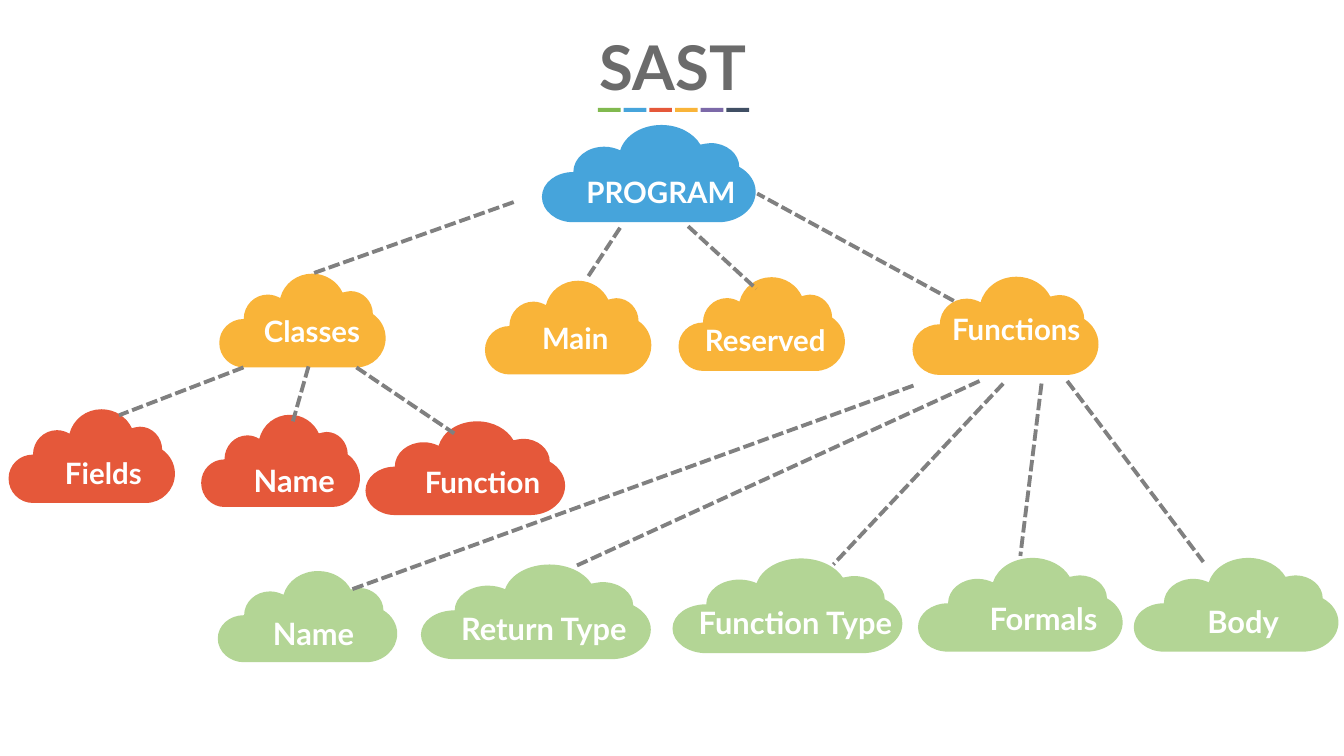
from lxml.etree import SubElement
from pptx import Presentation
from pptx.dml.color import RGBColor
from pptx.enum.dml import MSO_LINE
from pptx.enum.shapes import MSO_CONNECTOR, MSO_SHAPE
from pptx.enum.text import MSO_AUTO_SIZE, PP_ALIGN
from pptx.oxml.ns import qn
from pptx.util import Inches, Pt

COLORS = {
    "green": "81B94F", "blue": "46A4DB", "red": "E5583A", "amber": "F9B439",
    "purple": "7C69A8", "navy": "404F64", "leaf": "B3D595",
    "title": "6B6B6B", "label": "FFFFFF", "link": "808080",
}
FONT = "Lato"
TITLE_BARS = ["green", "blue", "red", "amber", "purple", "navy"]

CLOUD_SIZE = (4.56, 1.88)
CLOUD_START = (2.55, 0)
CLOUD_CURVES = [
    ((2.13, 0), (1.77, 0.2), (1.67, 0.49)),
    ((1.57, 0.45), (1.46, 0.42), (1.33, 0.42)),
    ((0.96, 0.42), (0.67, 0.64), (0.67, 0.91)),
    ((0.3, 0.91), (0, 1.12), (0, 1.39)),
    ((0, 1.66), (0.3, 1.88), (0.67, 1.88)),
    ((3.76, 1.88), (3.76, 1.88), (3.76, 1.88)),
    ((4.2, 1.88), (4.56, 1.62), (4.56, 1.29)),
    ((4.56, 1.1), (4.43, 0.92), (4.21, 0.81)),
    ((4.21, 0.56), (3.94, 0.35), (3.6, 0.35)),
    ((3.53, 0.35), (3.45, 0.37), (3.38, 0.38)),
    ((3.24, 0.16), (2.92, 0), (2.55, 0)),
]

LEVELS = {
    "blue": [("PROGRAM", 42, (10.75, 2.48, 4.24, 1.93), (-0.71, 0.7), 6.14)],
    "amber": [
        ("Classes", 42, (4.35, 5.43, 3.3, 1.86), (-1.23, 0.52), 6.14),
        ("Main", 42, (9.62, 5.57, 3.3, 1.86), (-1.28, 0.52), 6.14),
        ("Reserved", 42, (13.46, 5.5, 3.3, 1.86), (-1.35, 0.62), 6.14),
        ("Functions", 42, (18.1, 5.49, 3.69, 1.95), (-1.37, 0.42), 6.86),
    ],
    "red": [
        ("Fields", 42, (0.17, 8.12, 3.3, 1.86), (-1.19, 0.64), 6.14),
        ("Name", 44, (3.99, 8.23, 3.15, 1.83), (-0.03, 0.65), 3.76),
        ("Function", 42, (7.25, 8.36, 3.96, 1.86), (-1.36, 0.58), 7.36),
    ],
    "leaf": [
        ("Name", 44, (4.32, 11.33, 3.56, 1.81), (-0.23, 0.6), 4.26),
        ("Return Type", 44, (8.35, 11.2, 4.56, 1.88), (-0.29, 0.62), 5.46),
        ("Function Type", 44, (13.34, 11.08, 4.56, 1.88), (-0.29, 0.62), 5.46),
        ("Formals", 44, (18.21, 11.07, 4.06, 1.86), (0.06, 0.55), 4.86),
        ("Body", 44, (22.49, 11.07, 4.06, 1.86), (-0.26, 0.61), 4.86),
    ],
}
LINKS = [
    ((10.19, 4.01), (6.19, 5.43)), ((12.3, 4.52), (11.65, 5.51)),
    ((13.65, 4.49), (15, 5.73)), ((18.92, 5.97), (15.02, 3.84)),
    ((4.83, 7.29), (2.36, 8.24)), ((6.12, 7.27), (5.81, 8.36)),
    ((7.07, 7.29), (9.01, 8.6)), ((18.12, 7.65), (6.96, 11.7)),
    ((19.43, 7.56), (11.4, 11.24)), ((19.9, 7.61), (16.53, 11.2)),
    ((20.66, 7.61), (20.24, 11.03)), ((21.17, 7.56), (23.87, 11.15)),
]


def rgb(name):
    """Return the named colour."""
    return RGBColor.from_string(COLORS[name])


def paint(shape, color):
    """Give a shape a flat fill without outline or shadow."""
    shape.shadow.inherit = False
    shape.fill.solid()
    shape.fill.fore_color.rgb = rgb(color)
    shape.line.fill.background()


def add_text(shapes, text, box, size, color):
    """Add a centred bold line of text and return its text frame."""
    frame = shapes.add_textbox(*map(Inches, box)).text_frame
    frame.word_wrap = True
    frame.auto_size = MSO_AUTO_SIZE.SHAPE_TO_FIT_TEXT
    paragraph = frame.paragraphs[0]
    paragraph.text = text
    paragraph.alignment = PP_ALIGN.CENTER
    paragraph.font.name = FONT
    paragraph.font.size = Pt(size)
    paragraph.font.bold = True
    paragraph.font.color.rgb = rgb(color)
    return frame


def round_outline(shape):
    """Turn each three straight segments of a freeform into one cubic curve."""
    segments = list(shape._element.iter(qn("a:lnTo")))
    for first in range(0, len(segments), 3):
        curve, *others = segments[first:first + 3]
        cubic = curve.getparent().makeelement(qn("a:cubicBezTo"), {})
        curve.addprevious(cubic)
        for segment in (curve, *others):
            cubic.append(segment[0])
            segment.getparent().remove(segment)


def add_cloud(slide, text, size, box, offset, label_width, color):
    """Add a cloud filling the box, with its label at an offset from the corner."""
    left, top, width, height = box
    group = slide.shapes.add_group_shape()
    outline = [CLOUD_START] + [point for curve in CLOUD_CURVES for point in curve]
    points = [(Inches(left + x * width / CLOUD_SIZE[0]),
               Inches(top + y * height / CLOUD_SIZE[1])) for x, y in outline]
    builder = group.shapes.build_freeform(*points[0])
    builder.add_line_segments(points[1:], close=True)
    cloud = builder.convert_to_shape()
    round_outline(cloud)
    paint(cloud, color)
    label_box = (left + offset[0], top + offset[1], label_width, 0.95)
    frame = add_text(group.shapes, text, label_box, size, "label")
    frame.margin_left = frame.margin_right = frame.margin_bottom = 0
    frame.margin_top = Inches(0.13)
    frame.paragraphs[0].line_spacing = 1.2


def add_link(slide, start, end):
    """Add a dashed line between two points."""
    link = slide.shapes.add_connector(
        MSO_CONNECTOR.STRAIGHT, *map(Inches, (*start, *end)))
    link.line.color.rgb = rgb("link")
    link.line.width = Pt(5.5)
    link.line.dash_style = MSO_LINE.SQUARE_DOT
    SubElement(link._element.spPr, qn("a:effectLst"))


def add_title(slide, text, box):
    """Add the title and the row of coloured bars under it."""
    left, top, width, height = box
    add_text(slide.shapes, text, box, 88, "title")
    for index, color in enumerate(TITLE_BARS):
        bar_box = (left + 9.96 + index * 0.51, top + height + 0.03, 0.45, 0.08)
        paint(slide.shapes.add_shape(MSO_SHAPE.RECTANGLE, *map(Inches, bar_box)), color)


def build_tree(slide):
    """Add every level of clouds and the links between them."""
    for color, clouds in LEVELS.items():
        for cloud in clouds:
            add_cloud(slide, *cloud, color)
    for start, end in LINKS:
        add_link(slide, start, end)


def main():
    """Build and save the presentation."""
    presentation = Presentation()
    presentation.slide_width = Inches(26.66)
    presentation.slide_height = Inches(15)
    slide = presentation.slides.add_slide(presentation.slide_layouts[6])
    add_title(slide, "SAST", (1.9, 0.53, 22.9, 1.58))
    build_tree(slide)
    presentation.save("out.pptx")


main()
